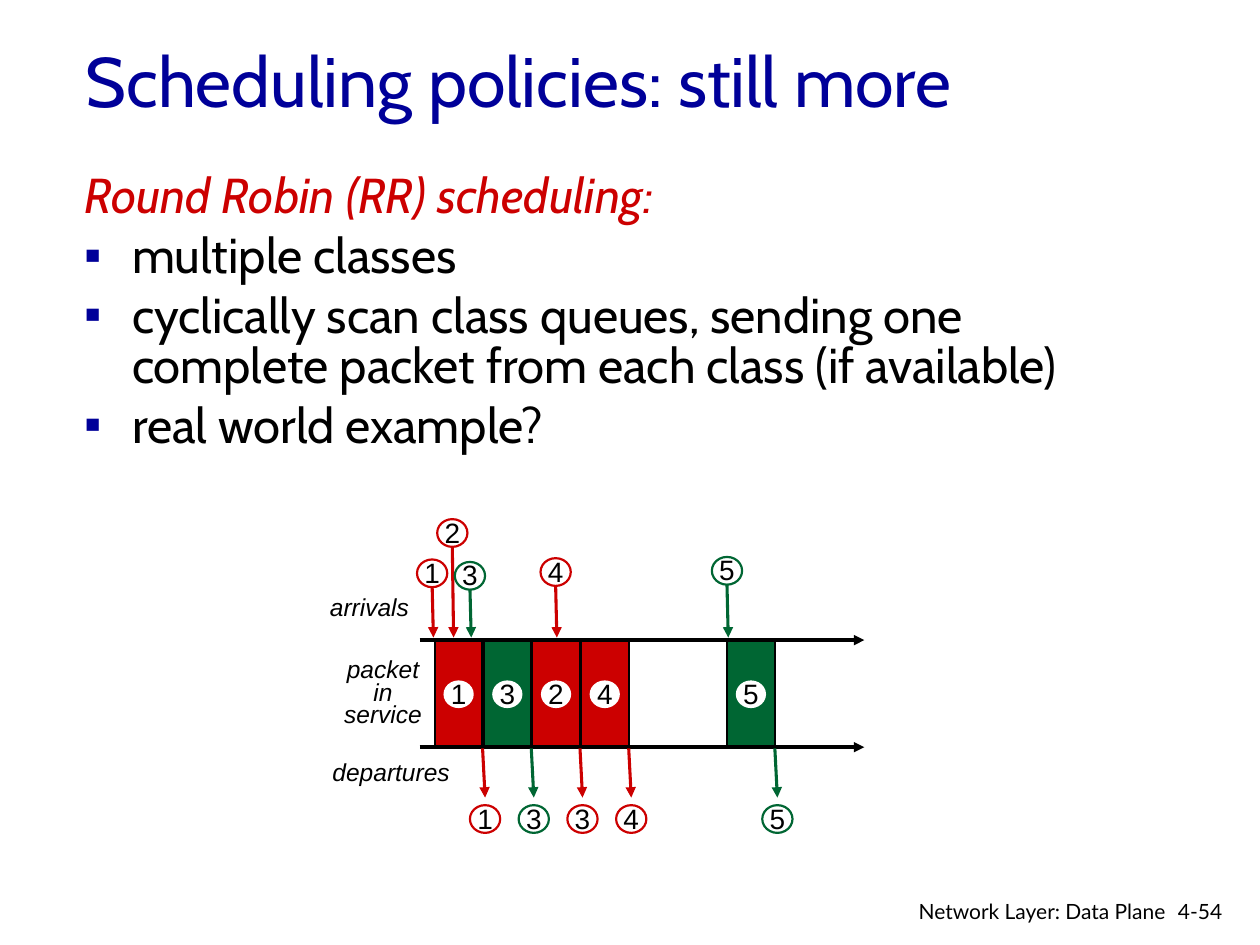
"""Build the round robin scheduling slide with its packet timeline."""
from lxml.etree import SubElement
from pptx import Presentation
from pptx.dml.color import RGBColor
from pptx.enum.shapes import MSO_CONNECTOR, MSO_SHAPE
from pptx.enum.text import MSO_ANCHOR, PP_ALIGN
from pptx.oxml.ns import qn
from pptx.util import Inches, Pt

RED, GREEN, BLUE, BLACK, WHITE = "CC0000", "006633", "000099", "000000", "FFFFFF"

presentation = Presentation()
presentation.slide_width, presentation.slide_height = Inches(10), Inches(7.5)
slide = presentation.slides.add_slide(presentation.slide_layouts[6])


def color(value):
    return RGBColor.from_string(value)


def add_text(paragraphs, left, top, width, height, size=16, font="Arial",
             fill=BLACK, italic=False, align=PP_ALIGN.LEFT, wrap=True,
             anchor=MSO_ANCHOR.TOP, spacing=None, before=0, bullet=None):
    box = slide.shapes.add_textbox(Inches(left), Inches(top), Inches(width), Inches(height))
    frame = box.text_frame
    frame.word_wrap, frame.vertical_anchor = wrap, anchor
    for index, text in enumerate(paragraphs):
        paragraph = frame.paragraphs[0] if index == 0 else frame.add_paragraph()
        if bullet and index:
            properties = paragraph._p.get_or_add_pPr()
            properties.set("marL", str(Inches(0.38)))
            properties.set("indent", str(-Inches(0.38)))
            bullet_color = SubElement(properties, qn("a:buClr"))
            SubElement(bullet_color, qn("a:srgbClr")).set("val", BLUE)
            SubElement(properties, qn("a:buFont")).set("typeface", "Arial")
            SubElement(properties, qn("a:buChar")).set("char", bullet)
        paragraph.alignment = align
        if spacing:
            paragraph.line_spacing = spacing
        if index:
            paragraph.space_before = Pt(before)
        run = paragraph.add_run()
        run.text = text
        heading = bullet and index == 0
        run.font.name, run.font.size = font, Pt(size)
        run.font.italic = bool(italic or heading)
        run.font.color.rgb = color(RED if heading else fill)


add_text(["Scheduling policies: still more"], 0.58, 0.01, 8.5, 1.25, size=40,
         font="Cabin", fill=BLUE, anchor=MSO_ANCHOR.MIDDLE)
add_text(["Round Robin (RR) scheduling:",
          "multiple classes",
          "cyclically scan class queues, sending one complete packet from each class (if available)",
          "real world example?"],
         0.57, 1.33, 8.5, 0.83, size=28, font="Cabin", spacing=0.85, before=5.6, bullet="▪")

packet_left, packet_width = 3.45, 0.38
slot_width = (5.77 - packet_left) / 6
arrows = [(3.33, 5.08, 6.86, 5.08, BLACK, 2), (3.33, 5.93, 6.86, 5.93, BLACK, 2)]
shapes, circles = [], []

for slot, number, departing, fill in [
    (0, "1", "1", RED), (1, "3", "3", GREEN), (2, "2", "3", RED),
    (3, "4", "4", RED), (6, "5", "5", GREEN),
]:
    left = packet_left + slot * slot_width
    right = left + packet_width
    shapes.append((MSO_SHAPE.RECTANGLE, left, 5.09, packet_width, 0.83, fill, BLACK))
    circles.append((number, left + 0.07, 5.4, None))
    arrows.append((right, 5.94, right + 0.02, 6.33, fill, 1.75))
    circles.append((departing, right - 0.1, 6.39, fill))

for number, left, top, line in [
    ("1", 3.31, 4.44, RED), ("2", 3.47, 4.12, RED), ("3", 3.61, 4.46, GREEN),
    ("4", 4.29, 4.43, RED), ("5", 5.65, 4.42, GREEN),
]:
    arrows.append((left + 0.12, top + 0.22, left + 0.13, 5.06, line, 1.75))
    circles.append((number, left, top, line))

for x1, y1, x2, y2, line, weight in arrows:
    connector = slide.shapes.add_connector(
        MSO_CONNECTOR.STRAIGHT, Inches(x1), Inches(y1), Inches(x2), Inches(y2))
    connector.line.color.rgb, connector.line.width = color(line), Pt(weight)
    SubElement(connector.line._get_or_add_ln(), qn("a:tailEnd")).set("type", "triangle")
    SubElement(connector._element.spPr, qn("a:effectLst"))

shapes += [(MSO_SHAPE.OVAL, left, top, 0.24, 0.22, WHITE, line)
           for number, left, top, line in circles]
for kind, left, top, width, height, fill, line in shapes:
    shape = slide.shapes.add_shape(kind, Inches(left), Inches(top), Inches(width), Inches(height))
    shape.shadow.inherit = False
    shape.fill.solid()
    shape.fill.fore_color.rgb = color(fill)
    if line:
        shape.line.color.rgb, shape.line.width = color(line), Pt(1.25)
    else:
        shape.line.fill.background()

for number, left, top, line in circles:
    add_text([number], left - 0.04, top - 0.08, 0.33, 0.37, wrap=False)

add_text(["arrivals"], 2.52, 4.65, 0.88, 0.34, size=14, italic=True, wrap=False)
add_text(["departures"], 2.54, 5.96, 1.19, 0.34, size=14, italic=True, wrap=False)
add_text(["packet in service"], 2.57, 5.2, 0.94, 0.65, size=14, italic=True,
         align=PP_ALIGN.CENTER, spacing=Pt(12.8))
add_text(["4-54"], 9.25, 7.08, 0.61, 0.3, size=12, font="Lato")
add_text(["Network Layer: Data Plane"], 6.97, 7.08, 2.38, 0.26, size=12, font="Lato",
         align=PP_ALIGN.RIGHT)

presentation.save("out.pptx")
